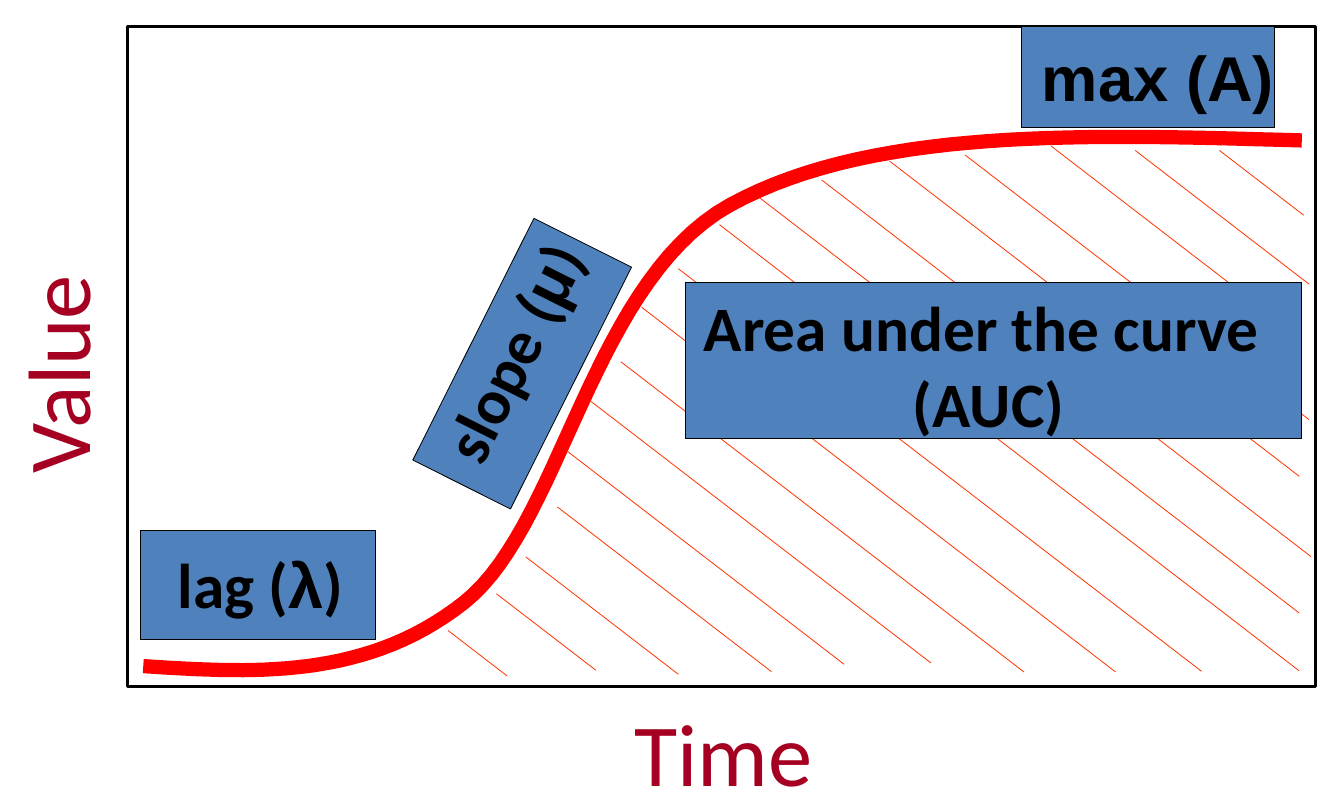
from dataclasses import dataclass

from lxml import etree
from pptx import Presentation
from pptx.dml.color import RGBColor
from pptx.enum.shapes import MSO_CONNECTOR, MSO_SHAPE
from pptx.enum.text import MSO_AUTO_SIZE, PP_ALIGN
from pptx.oxml.ns import qn
from pptx.util import Cm, Pt

RECTANGLE = MSO_SHAPE.RECTANGLE
STRAIGHT = MSO_CONNECTOR.STRAIGHT
FIT_SHAPE = MSO_AUTO_SIZE.SHAPE_TO_FIT_TEXT
CENTER = PP_ALIGN.CENTER


@dataclass(frozen=True)
class Theme:
    white: RGBColor = RGBColor(0xFF, 0xFF, 0xFF)
    black: RGBColor = RGBColor(0x00, 0x00, 0x00)
    label_fill: RGBColor = RGBColor(0x4F, 0x81, 0xBD)
    curve: RGBColor = RGBColor(0xFF, 0x00, 0x00)
    hatch: RGBColor = RGBColor(0xFF, 0x33, 0x00)
    axis: RGBColor = RGBColor(0xA5, 0x00, 0x21)
    axis_size: Pt = Pt(28)
    label_size: Pt = Pt(20)
    font: str = "Calibri"
    symbol_font: str = "Arial"


theme = Theme()


def add_panel(place, fill, line_width, rotation=0):
    panel = page.shapes.add_shape(RECTANGLE, *map(Cm, place))
    panel.shadow.inherit = False
    panel.rotation = rotation
    panel.fill.solid()
    panel.fill.fore_color.rgb = fill
    panel.line.color.rgb = theme.black
    panel.line.width = Pt(line_width)


def add_text(place, rotation, size, color, font, parts):
    box = page.shapes.add_textbox(*map(Cm, place))
    box.rotation = rotation
    frame = box.text_frame
    frame.auto_size = FIT_SHAPE
    para = frame.paragraphs[0]
    para.font.size = size
    para.font.color.rgb = color
    para.font.name = font
    for part in parts:
        if part == "\n":
            para.add_line_break()
            continue
        span = para.add_run()
        span.text = part
        if part in ("λ", "μ"):
            span.font.name = theme.symbol_font
    return frame


deck = Presentation()
deck.slide_width = Cm(15)
deck.slide_height = Cm(9)
page = deck.slides.add_slide(deck.slide_layouts[6])

add_panel((1.42, 0.3, 13.26, 7.37), theme.white, 1)

curve_segments = [
    ((1.6, 7.44), (2.84, 7.52), (4.09, 7.59), (5.18, 6.73)),
    ((5.18, 6.73), (6.27, 5.87), (6.6, 3.15), (8.15, 2.29)),
    ((8.15, 2.29), (9.73, 1.42), (12.12, 1.5), (14.53, 1.57)),
]
STEPS = 30
curve_points = []
for segment in curve_segments:
    for step in range(1, STEPS + 1):
        t = step / STEPS
        weights = ((1 - t) ** 3, 3 * t * (1 - t) ** 2, 3 * t**2 * (1 - t), t**3)
        curve_points.append(
            tuple(
                Cm(sum(weight * point[axis] for weight, point in zip(weights, segment)))
                for axis in (0, 1)
            )
        )
start_x, start_y = curve_segments[0][0]
builder = page.shapes.build_freeform(Cm(start_x), Cm(start_y))
builder.add_line_segments(curve_points, close=False)
growth_curve = builder.convert_to_shape()
growth_curve.shadow.inherit = False
growth_curve.fill.background()
growth_curve.line.color.rgb = theme.curve
growth_curve.line.width = Pt(4.5)

axis_titles = [
    ("Time", (6.83, 7.67, 2.49, 1.45), 0),
    ("Value", (-0.74, 3.45, 2.72, 1.45), 270),
]
for title, place, rotation in axis_titles:
    frame = add_text(place, rotation, theme.axis_size, theme.axis, theme.font, [title])
    frame.word_wrap = False

HATCH_SLOPE = 0.77
hatch_lines = [
    (5.54, 6.63, 6.65), (5.87, 6.22, 7.57), (6.22, 5.66, 8.61),
    (6.32, 5.03, 9.42), (6.58, 4.47, 10.39), (6.93, 4.04, 11.43),
    (7.16, 3.43, 12.45), (7.57, 3.0, 13.41), (8.03, 2.51, 14.5),
    (8.48, 2.21, 14.5), (9.17, 2.01, 14.63), (9.93, 1.8, 14.5),
    (5.0, 7.04, 5.66), (10.77, 1.73, 14.61), (11.73, 1.63, 14.53),
    (12.67, 1.68, 14.61), (13.61, 1.68, 14.55),
]
for left, top, right in hatch_lines:
    bottom = top + HATCH_SLOPE * (right - left)
    hatch = page.shapes.add_connector(STRAIGHT, Cm(left), Cm(top), Cm(right), Cm(bottom))
    hatch.line.color.rgb = theme.hatch
    hatch.line.width = Pt(0.25)
    etree.SubElement(hatch._element.spPr, qn("a:effectLst"))

labels = [
    (
        (1.57, 5.92, 2.62, 1.22), (1.4, 5.97, 3.02, 1.09), 0,
        theme.font, ["lag (", "λ", ")"],
    ),
    (
        (4.32, 3.45, 3.02, 1.22), (3.38, 3.38, 4.67, 1.09), 296.6,
        theme.font, ["slope (", "μ", ")"],
    ),
    (
        (7.65, 3.15, 6.88, 1.75), (7.44, 3.1, 7.19, 1.96), 0,
        theme.font, ["Area under the curve ", "\n", "(AUC)"],
    ),
    (
        (11.4, 0.3, 2.82, 1.12), (11.25, 0.3, 3.35, 1.09), 0,
        theme.symbol_font, ["max (A)"],
    ),
]
for panel_place, text_place, rotation, font, parts in labels:
    add_panel(panel_place, theme.label_fill, 0.25, rotation)
    frame = add_text(text_place, rotation, theme.label_size, theme.black, font, parts)
    frame.word_wrap = True
    frame.paragraphs[0].alignment = CENTER
    frame.paragraphs[0].font.bold = True

deck.save("out.pptx")
